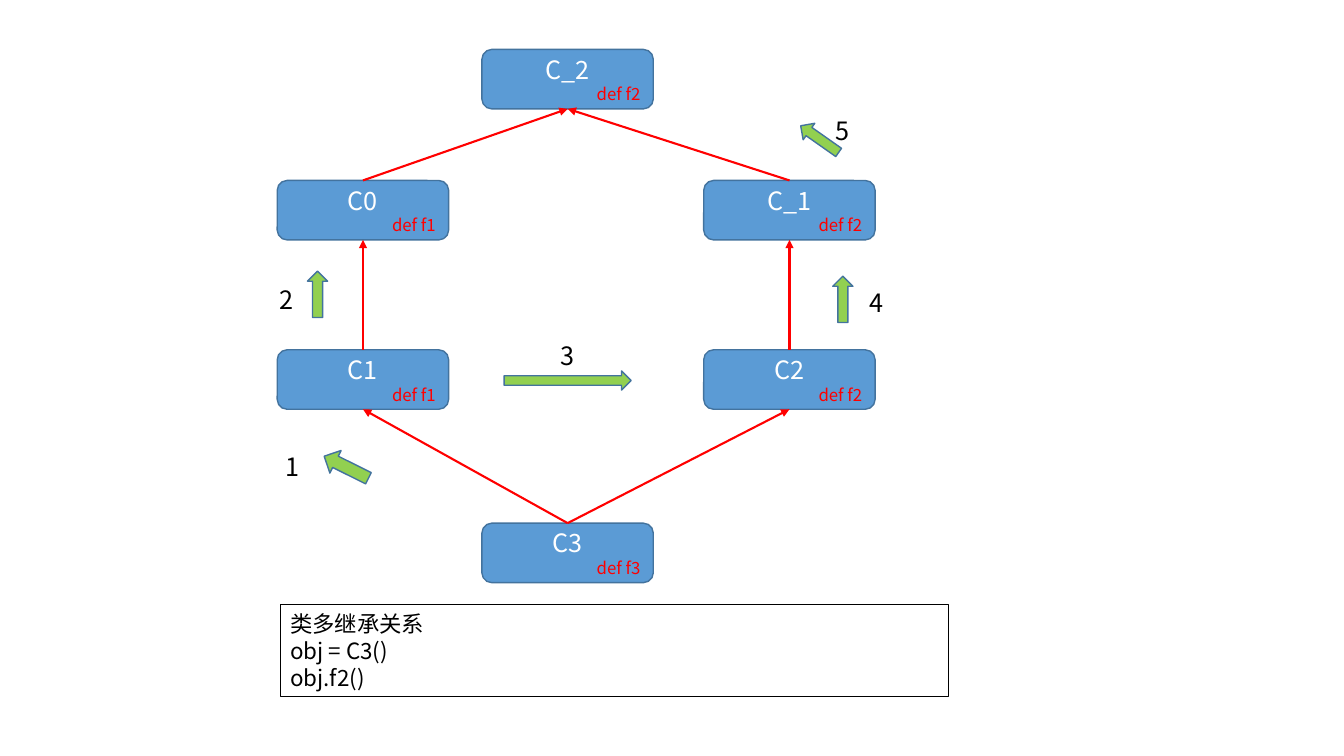
from dataclasses import dataclass

from lxml import etree
from pptx import Presentation
from pptx import util as u
from pptx.dml.color import RGBColor
from pptx.enum import shapes, text
from pptx.oxml.ns import qn


@dataclass(frozen=True)
class Theme:
    """Colours, font and type sizes of the slide."""
    font: str = "Noto Sans CJK SC"
    node: str = "5B9BD5"
    edge: str = "43739E"
    step: str = "92D050"
    red: str = "FF0000"
    white: str = "FFFFFF"
    black: str = "000000"
    big: int = 18
    mid: int = 16
    small: int = 12


class Chart:
    """Draws the class diagram on one slide."""

    def __init__(self, slide, theme):
        """Keep the slide and its style."""
        self.items = slide.shapes
        self.theme = theme

    def label(self, para, words, size, color, align=text.PP_ALIGN.LEFT):
        """Fill one paragraph with styled text."""
        para.text = words
        para.alignment = align
        font = para.font
        font.size = u.Pt(size)
        font.color.rgb = RGBColor.from_string(color)
        font.name = self.theme.font
        props = para._p.pPr.find(qn("a:defRPr"))
        etree.SubElement(props, qn("a:ea")).set("typeface", self.theme.font)

    def shape(self, kind, box, fill, line, width=1):
        """Add a flat preset shape; no fill when fill is None."""
        item = self.items.add_shape(kind, *map(u.Inches, box))
        item.shadow.inherit = False
        if fill:
            item.fill.solid()
            item.fill.fore_color.rgb = RGBColor.from_string(fill)
        else:
            item.fill.background()
        item.line.color.rgb = RGBColor.from_string(line)
        item.line.width = u.Pt(width)
        return item

    def node(self, name, method, left, top):
        """Add a class box with its name and its method."""
        t = self.theme
        item = self.shape(shapes.MSO_SHAPE.ROUNDED_RECTANGLE,
                          (left, top, 1.7, 0.59), t.node, t.edge)
        frame = item.text_frame
        frame.vertical_anchor = text.MSO_ANCHOR.MIDDLE
        self.label(frame.paragraphs[0], name, t.big, t.white,
                   text.PP_ALIGN.CENTER)
        self.label(frame.add_paragraph(), "def " + method, t.small, t.red,
                   text.PP_ALIGN.RIGHT)
        return item

    def link(self, child, parent):
        """Add an arrow from the top of a child to the foot of its parent."""
        line = self.items.add_connector(shapes.MSO_CONNECTOR.STRAIGHT, 0, 0, 0, 0)
        line.begin_connect(child, 0)
        line.end_connect(parent, 2)
        line.line.color.rgb = RGBColor.from_string(self.theme.red)
        line.line.width = u.Pt(1.5)
        props = line._element.spPr
        tail = etree.SubElement(props.find(qn("a:ln")), qn("a:tailEnd"))
        tail.set("type", "triangle")
        etree.SubElement(props, qn("a:effectLst"))

    def step(self, count, spot, kind, box, turn=0):
        """Add a numbered block arrow of the lookup order."""
        t = self.theme
        self.shape(kind, box, t.step, t.edge).rotation = turn
        item = self.items.add_textbox(*map(u.Inches, (*spot, 0.34, 0.4)))
        frame = item.text_frame
        frame.word_wrap = False
        frame.auto_size = text.MSO_AUTO_SIZE.SHAPE_TO_FIT_TEXT
        self.label(frame.paragraphs[0], count, t.big, t.black)

    def note(self, title, code, box):
        """Add the outlined caption."""
        t = self.theme
        frame = self.shape(shapes.MSO_SHAPE.RECTANGLE, box, None,
                           t.black, 0.75).text_frame
        frame.vertical_anchor = text.MSO_ANCHOR.MIDDLE
        frame.word_wrap = True
        self.label(frame.paragraphs[0], title, t.mid, t.black)
        self.label(frame.add_paragraph(), code, t.mid, t.black)


def main():
    """Build and save the slide."""
    deck = Presentation()
    deck.slide_width, deck.slide_height = u.Inches(13.33), u.Inches(7.5)
    chart = Chart(deck.slides.add_slide(deck.slide_layouts[6]), Theme())

    west, mid, east = 2.75, 4.78, 6.98
    rows = 0.49, 1.79, 3.47, 5.19
    nodes = {name: chart.node(name, method, left, rows[row])
             for name, method, left, row in (
                 ("C_2", "f2", mid, 0),
                 ("C0", "f1", west, 1), ("C_1", "f2", east, 1),
                 ("C1", "f1", west, 2), ("C2", "f2", east, 2),
                 ("C3", "f3", mid, 3))}
    for child, parent in (("C0", "C_2"), ("C_1", "C_2"), ("C1", "C0"),
                          ("C2", "C_1"), ("C3", "C1"), ("C3", "C2")):
        chart.link(nodes[child], nodes[parent])

    up, right = shapes.MSO_SHAPE.UP_ARROW, shapes.MSO_SHAPE.RIGHT_ARROW
    chart.step("1", (2.73, 4.43), up, (3.31, 4.39, 0.25, 0.49), 296.5)
    chart.step("2", (2.67, 2.77), up, (3.05, 2.69, 0.2, 0.46))
    chart.step("3", (5.46, 3.33), right, (5, 3.68, 1.26, 0.19))
    chart.step("4", (8.53, 2.8), up, (8.26, 2.74, 0.2, 0.46))
    chart.step("5", (8.19, 1.09), up, (8.03, 1.15, 0.2, 0.46), 305.1)

    chart.note("类多继承关系", "obj = C3()\vobj.f2()", (2.78, 6, 6.63, 0.91))
    deck.save("out.pptx")


main()
